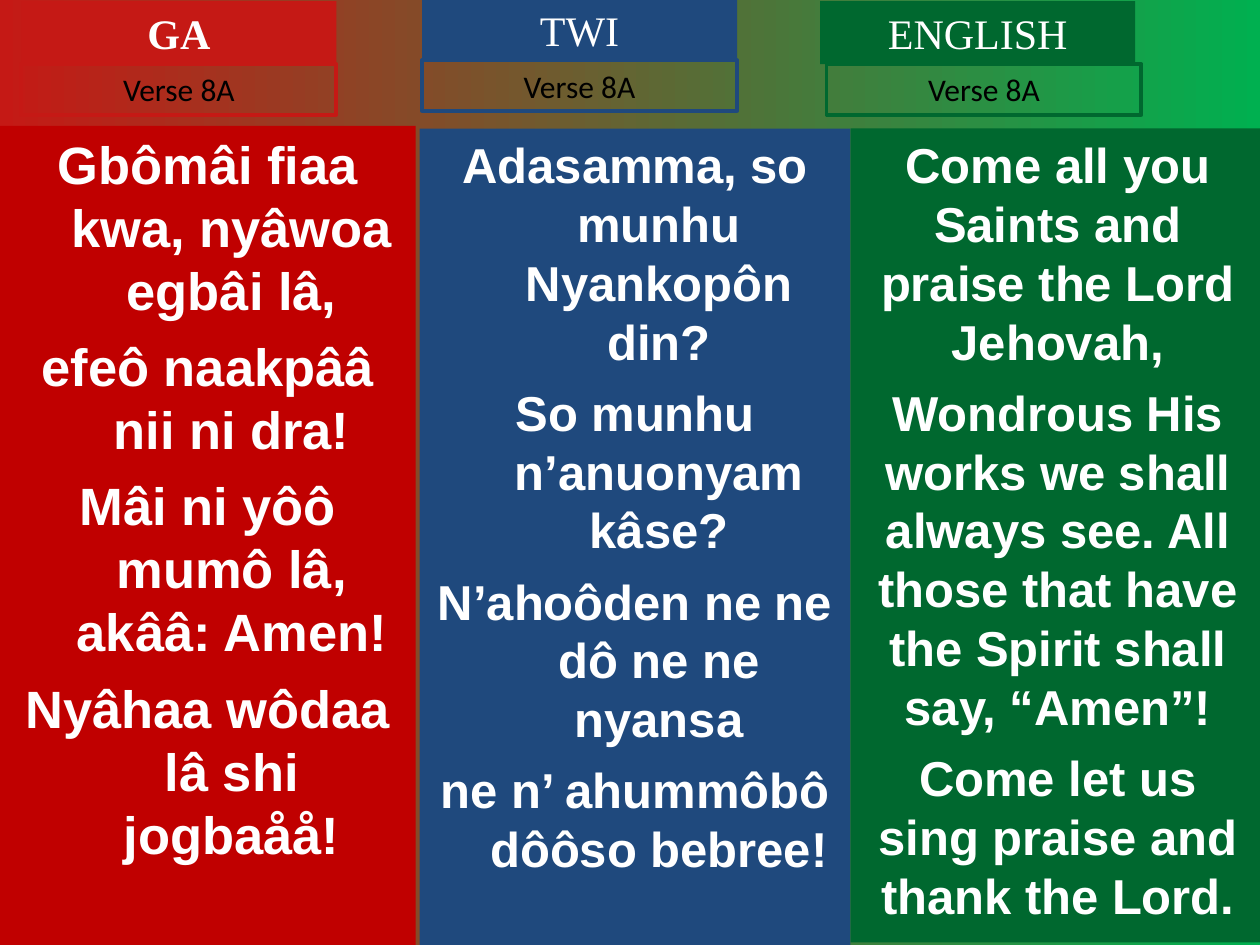
from pptx import Presentation
from pptx.dml.color import RGBColor
from pptx.enum.shapes import MSO_SHAPE
from pptx.enum.text import MSO_ANCHOR, PP_ALIGN
from pptx.util import Inches, Pt

WHITE, BLACK = "FFFFFF", "000000"
RED, BLUE, GREEN = "C51915", "1F497D", "00682F"

LANGUAGE = {"name": "Times New Roman", "size": Pt(24), "bold": False}
VERSE = {"name": "Calibri", "size": Pt(18), "bold": False}
LYRICS = {"name": "Arial", "bold": True}

COLUMNS = [
    {
        "language": "GA", "color": RED, "panel_color": "C00000",
        "language_at": (0.17, 0.01), "verse_at": (0.17, 0.51),
        "panel": (0, 1, 3.3, 6.5), "bold": True, "size": 30, "hanging": 0.38,
        "lyrics": [
            "Gbômâi fiaa kwa, nyâwoa egbâi lâ,",
            "efeô naakpââ nii ni dra!",
            "Mâi ni yôô mumô lâ, akââ: Amen!",
            "Nyâhaa wôdaa lâ shi jogbaåå!",
        ],
    },
    {
        "language": "TWI", "color": BLUE, "panel_color": BLUE,
        "language_at": (3.35, -0.01), "verse_at": (3.35, 0.48),
        "panel": (3.33, 1.02, 3.42, 6.48), "bold": False, "size": 28, "hanging": 0.38,
        "lyrics": [
            "Adasamma, so munhu Nyankopôn din?",
            "So munhu n’anuonyam kâse?",
            "N’ahoôden ne ne dô ne ne nyansa",
            "ne n’ ahummôbô dôôso bebree!",
        ],
    },
    {
        "language": "ENGLISH", "color": GREEN, "panel_color": GREEN,
        "language_at": (6.51, 0.01), "verse_at": (6.56, 0.51),
        "panel": (6.75, 1.02, 3.29, 6.46), "bold": False, "size": 28, "hanging": 0,
        "lyrics": [
            "Come all you Saints and praise the Lord Jehovah,",
            "Wondrous His works we shall always see. "
            "All those that have the Spirit shall say, “Amen”!",
            "Come let us sing praise and thank the Lord.",
        ],
    },
]


def rgb(color):
    return RGBColor.from_string(color)


def add_box(slide, box, fill=None, line=None):
    rect = slide.shapes.add_shape(MSO_SHAPE.RECTANGLE, *map(Inches, box))
    rect.shadow.inherit = False
    if fill:
        rect.fill.solid()
        rect.fill.fore_color.rgb = rgb(fill)
    else:
        rect.fill.background()
    if line:
        rect.line.color.rgb = rgb(line)
        rect.line.width = Pt(2.25)
    else:
        rect.line.fill.background()
    return rect


def write(rect, lines, font_format, color, space_before=0, hanging=0):
    frame = rect.text_frame
    frame.word_wrap = True
    frame.vertical_anchor = MSO_ANCHOR.TOP
    for index, line in enumerate(lines):
        paragraph = frame.paragraphs[0] if index == 0 else frame.add_paragraph()
        paragraph.alignment = PP_ALIGN.CENTER
        paragraph.space_before = Pt(space_before if index else 0)
        if hanging:
            properties = paragraph._p.get_or_add_pPr()
            properties.set("marL", str(Inches(hanging)))
            properties.set("indent", str(-Inches(hanging)))
        run = paragraph.add_run()
        run.text = line
        for attribute, value in font_format.items():
            setattr(run.font, attribute, value)
        run.font.color.rgb = rgb(color)


def add_heading(slide, column):
    # Language name above the verse number
    language = add_box(slide, (*column["language_at"], 2.5, 0.5), fill=column["color"])
    write(language, [column["language"]], {**LANGUAGE, "bold": column["bold"]}, WHITE)
    verse = add_box(slide, (*column["verse_at"], 2.5, 0.4), line=column["color"])
    write(verse, ["Verse 8A"], VERSE, BLACK)


def add_lyrics(slide, column):
    # Spacing between the lines of a verse is a quarter of the text size
    size = column["size"]
    panel = add_box(slide, column["panel"], fill=column["panel_color"])
    write(panel, column["lyrics"], {**LYRICS, "size": Pt(size)}, WHITE,
          space_before=size / 4, hanging=column["hanging"])


def set_background(slide, start, end):
    fill = slide.background.fill
    fill.gradient()
    fill.gradient_angle = 0
    for stop, position, color in zip(fill.gradient_stops, (0, 1), (start, end)):
        stop.position = position
        stop.color.rgb = rgb(color)


def main():
    presentation = Presentation()
    presentation.slide_width, presentation.slide_height = Inches(10), Inches(7.5)
    slide = presentation.slides.add_slide(presentation.slide_layouts[6])
    set_background(slide, RED, "00B050")
    for column in COLUMNS:
        add_lyrics(slide, column)
        add_heading(slide, column)
    presentation.save("out.pptx")


if __name__ == "__main__":
    main()
